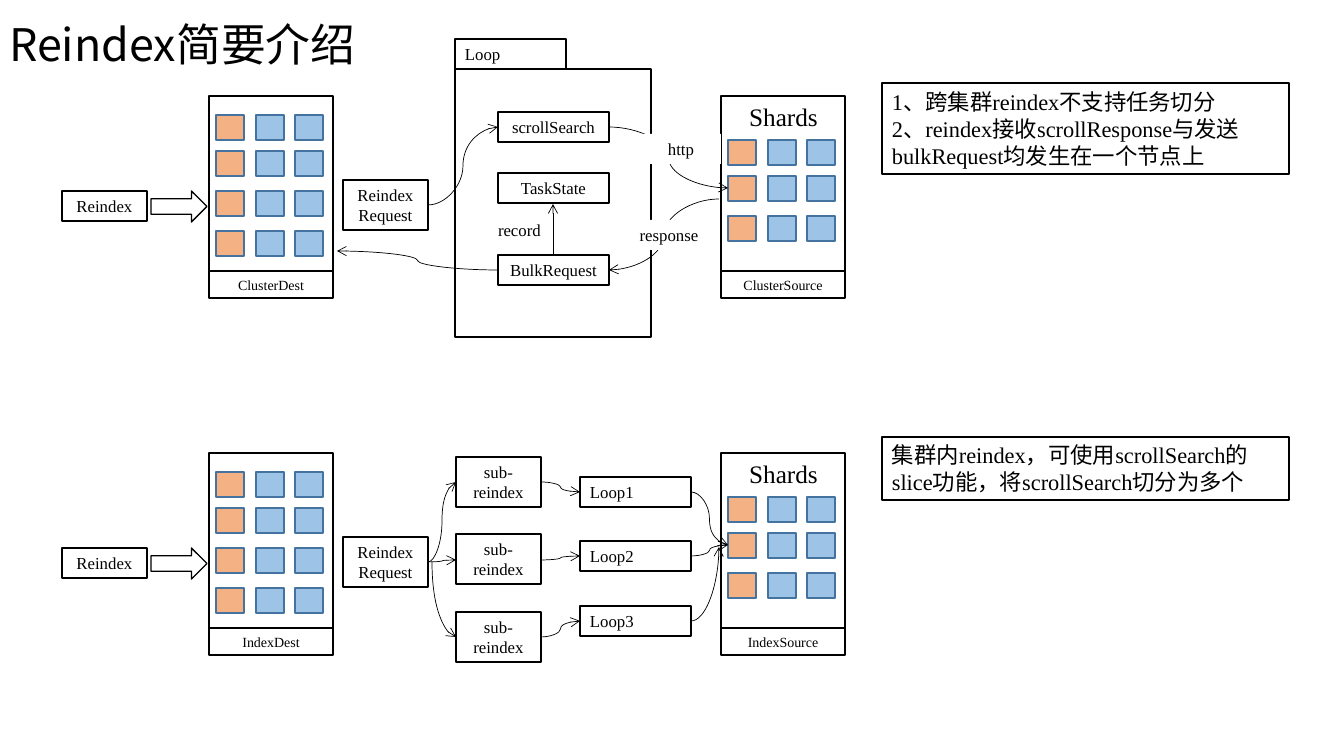
import pptx
import pptx.util
import pptx.dml.color
import pptx.enum.shapes
import pptx.enum.text
import pptx.oxml
import pptx.oxml.ns

# Content: all lengths in px
SIZE = (1344, 756)
SERIF, SANS = "Times New Roman", "Noto Sans CJK SC"
BLACK, WHITE, EDGE = "000000", "FFFFFF", "43739E"
ORANGE, BLUE = "F4B183", "9DC3E6"
TITLE = ("Reindex简要介绍", (-1, 1, 521, 92))

LANES = [(96, "ClusterDest", "ClusterSource"),
         (453, "IndexDest", "IndexSource")]
DEST, SOURCE = 209, 721
COLS, ROWS = (7, 47, 86), (19, 55, 95, 135)
HEAD = 25  # room above the cells for the heading

# text, left, top, width, height
STEPS = [("scrollSearch", 498, 112, 111, 30),
         ("TaskState", 498, 173, 111, 30),
         ("BulkRequest", 498, 255, 111, 30)]
LOOP = (455, 69, 196, 268)
TAB = ("Loop", 455, 39, 111, 30)
LABELS = [("response", 629, 220, 80, 30),
          ("record", 486, 215, 67, 30),
          ("http", 641, 134, 80, 30)]
SUBS = (457, 534, 612)
LOOPS = (477, 541, 606)
NOTES = [(["1、跨集群reindex不支持任务切分",
           "2、reindex接收scrollResponse与发送bulkRequest均发生在一个节点上"],
          882, 83, 407, 91),
         (["集群内reindex，可使用scrollSearch的slice功能，将scrollSearch切分为多个"],
          882, 437, 407, 63)]

# start x, start y, end x, end y, bend
LINKS = [(428, 205, 498, 127, "wave"), (609, 127, 728, 188, "wave"),
         (719, 199, 609, 270, "wave"), (498, 270, 337, 251, "wave"),
         (553, 255, 553, 204, "none"),
         (428, 562, 456, 482, "wave"), (428, 562, 456, 560, "wave"),
         (432, 562, 456, 637, "down"),
         (541, 482, 580, 492, "wave"), (541, 560, 580, 556, "wave"),
         (541, 637, 580, 621, "wave"),
         (691, 492, 728, 545, "wave"), (691, 556, 728, 545, "wave"),
         (691, 621, 719, 547, "side")]

MSO = pptx.enum.shapes.MSO_SHAPE
CONN = pptx.enum.shapes.MSO_CONNECTOR
ALIGN = pptx.enum.text.PP_ALIGN
ANCHOR = pptx.enum.text.MSO_ANCHOR
SCALE = 914400 / 100.8


def emu(*vals):
    return [round(v * SCALE) for v in vals]


def color(code):
    return pptx.dml.color.RGBColor.from_string(code)


def write(shape, lines, size, align=ALIGN.CENTER, face=SERIF, wrap=True):
    frame = shape.text_frame
    frame.word_wrap = wrap
    frame.text = "\n".join(lines)
    for para in frame.paragraphs:
        para.alignment = align
        font = para.font
        font.size = pptx.util.Pt(size)
        font.name = face
        font.color.rgb = color(BLACK)
        east = pptx.oxml.parse_xml(
            f'<a:ea {pptx.oxml.ns.nsdecls("a")} typeface="{SANS}"/>')
        font._element.append(east)


def box(home, rect, fill=WHITE, line=BLACK, kind=MSO.RECTANGLE):
    shape = home.shapes.add_shape(kind, *emu(*rect))
    shape.shadow.inherit = False
    if fill:
        shape.fill.solid()
        shape.fill.fore_color.rgb = color(fill)
    else:
        shape.fill.background()
    if line:
        shape.line.color.rgb = color(line)
        shape.line.width = pptx.util.Pt(1)
    else:
        shape.line.fill.background()
    return shape


def cluster(slide, x, y, name, head):
    group = slide.shapes.add_group_shape()
    box(group, (x, y, 124, 175), None)
    write(box(group, (x, y + 175, 124, 27)), [name], 10)
    rows = [r + HEAD for r in ROWS[:-1]] if head else ROWS
    for row in rows:
        for i, col in enumerate(COLS):
            box(group, (x + col, y + row, 28, 25), BLUE if i else ORANGE, EDGE)
    if head:
        text = group.shapes.add_textbox(*emu(x + 18, y, 89, 40))
        write(text, [head], 18, wrap=False)


def link(slide, x1, y1, x2, y2, bend):
    ends = (x1, y1, x2, y2)
    if bend == "down":  # lay the box out flat, then turn it a quarter
        cx, cy = (x1 + x2) / 2, (y1 + y2) / 2
        dx, dy = (x2 - x1) / 2, (y2 - y1) / 2
        ends = (cx - dy, cy + dx, cx + dy, cy - dx)
    kind = CONN.STRAIGHT if bend == "none" else CONN.CURVE
    conn = slide.shapes.add_connector(kind, *emu(*ends))
    conn.line.color.rgb = color(BLACK)
    conn.line.width = pptx.util.Pt(0.5)
    props = conn._element.spPr
    if bend in ("down", "side"):
        props.prstGeom.set("prst", "curvedConnector2")
    if bend == "down":
        props.xfrm.set("rot", "5400000")
    space = pptx.oxml.ns.nsdecls("a")
    props.ln.append(pptx.oxml.parse_xml(f'<a:tailEnd {space} type="arrow"/>'))
    props.append(pptx.oxml.parse_xml(f"<a:effectLst {space}/>"))


def main():
    deck = pptx.Presentation()
    deck.slide_width, deck.slide_height = emu(*SIZE)
    slide = deck.slides.add_slide(deck.slide_layouts[5])

    # Title
    title = slide.shapes.title
    title.left, title.top, title.width, title.height = emu(*TITLE[1])
    write(title, [TITLE[0]], 32, ALIGN.LEFT, SANS)
    title.text_frame.vertical_anchor = ANCHOR.MIDDLE
    title.text_frame.paragraphs[0].line_spacing = 0.9

    # Both lanes: clusters, entry arrow and request
    for y, dest, source in LANES:
        cluster(slide, DEST, y, dest, None)
        box(slide, (151, y + 95, 56, 31), None, kind=MSO.RIGHT_ARROW)
        write(box(slide, (62, y + 95, 85, 30)), ["Reindex"], 12)
        write(box(slide, (343, y + 84, 85, 50)), ["Reindex\vRequest"], 12)
        cluster(slide, SOURCE, y, source, "Shards")

    # Upper lane: loop with its steps
    box(slide, LOOP, None)
    write(box(slide, TAB[1:]), TAB[:1], 12, ALIGN.LEFT)
    for name, *rect in STEPS:
        write(box(slide, rect), [name], 12)

    # Lower lane: sub-tasks and their loops
    for i, (sub, loop) in enumerate(zip(SUBS, LOOPS), 1):
        write(box(slide, (456, sub, 85, 50)), ["sub-reindex"], 12)
        write(box(slide, (580, loop, 111, 30)), [f"Loop{i}"], 12, ALIGN.LEFT)

    # Arrows, then the labels that lie over them
    for ends in LINKS:
        link(slide, *ends)
    for name, *rect in LABELS:
        write(box(slide, rect, line=None), [name], 12)

    # Notes
    for lines, *rect in NOTES:
        write(box(slide, rect), lines, 16, ALIGN.LEFT)

    deck.save("out.pptx")


if __name__ == "__main__":
    main()
